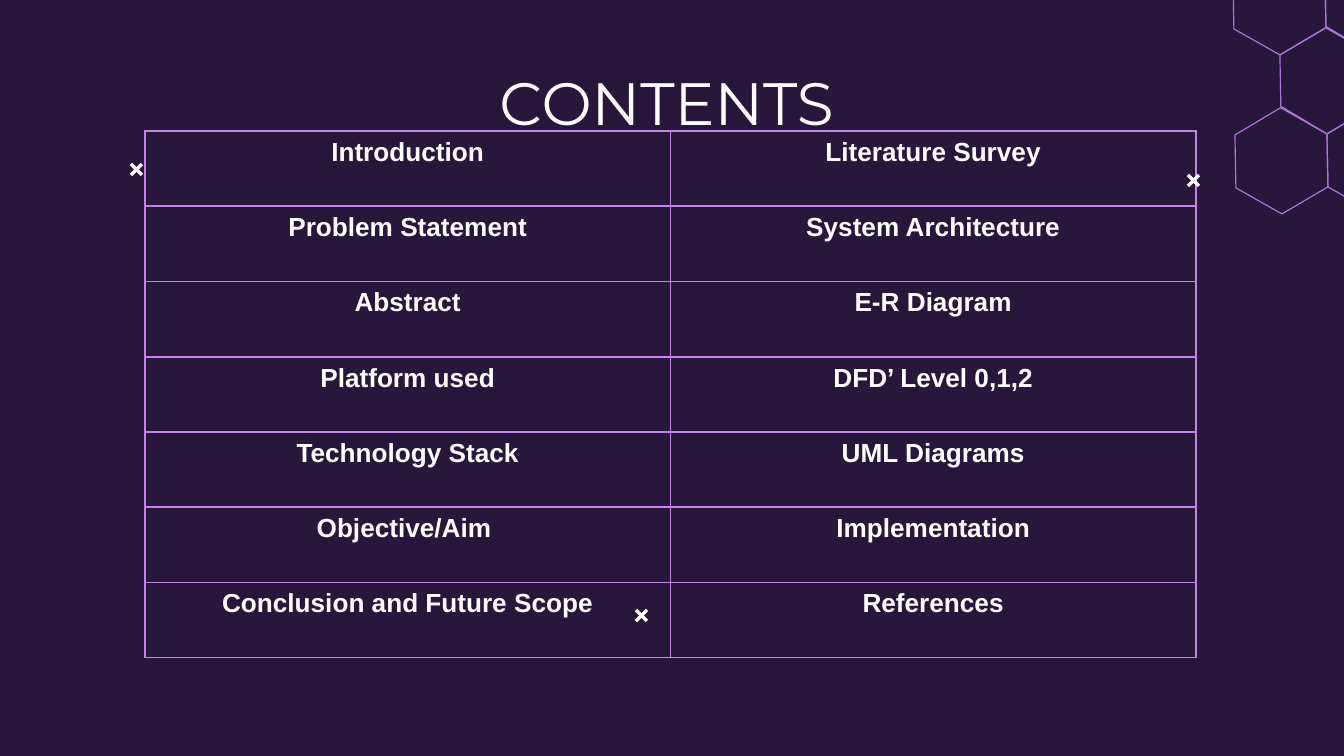
"""Build the contents slide: a two-column topic table with hexagon decoration."""
from lxml.etree import SubElement
from pptx import Presentation
from pptx.dml.color import RGBColor
from pptx.enum.shapes import MSO_CONNECTOR
from pptx.enum.text import MSO_ANCHOR, PP_ALIGN
from pptx.oxml.ns import qn
from pptx.util import Pt

PX = 914400 / 134.4
COLORS = {"background": "27173A", "hexagon": "AE77D6", "border": "C482ED", "text": "FFFFFF"}
TITLE = "CONTENTS "
TITLE_BOX = (108, 52, 1133, 85)
TOPICS = [
    ("Introduction", "Literature Survey"),
    ("Problem Statement", "System Architecture"),
    ("Abstract", "E-R Diagram"),
    ("Platform used", "DFD’ Level 0,1,2"),
    ("Technology Stack", "UML Diagrams"),
    ("Objective/Aim ", "Implementation"),
    ("Conclusion and Future Scope", "References"),
]
TABLE_BOX = (145, 131, 1051, 527)
HEX_ORIGIN = (1282, 161)
HEX_RIGHT, HEX_UP = (92, -1), (45, -80)
HEX_CELLS = [(0, 0), (1, 0), (0, 1), (-1, 2), (0, 2)]
HEX_CORNERS = [(0, -54), (45, -27), (46, 26), (0, 53), (-46, 27), (-47, -26)]
CROSSES = [(1188, 175), (636, 610), (131, 164)]
CROSS_SIZE = 11


def emu(*lengths):
    return [round(n * PX) for n in lengths]


def rgb(name):
    return RGBColor.from_string(COLORS[name])


def add_text(tf, text, font, size, bold=False):
    p = tf.paragraphs[0]
    p.alignment = PP_ALIGN.CENTER
    r = p.add_run()
    r.text = text
    r.font.name, r.font.size, r.font.bold = font, Pt(size), bold
    r.font.color.rgb = rgb("text")


def add_hexagon(s, right, up):
    cx, cy = (o + right * a + up * b for o, a, b in zip(HEX_ORIGIN, HEX_RIGHT, HEX_UP))
    points = [(cx + dx, cy + dy) for dx, dy in HEX_CORNERS]
    builder = s.shapes.build_freeform(*points[0], scale=PX)
    builder.add_line_segments(points[1:], close=True)
    sp = builder.convert_to_shape()
    sp.shadow.inherit = False
    sp.fill.background()
    sp.line.color.rgb = rgb("hexagon")
    sp.line.width = Pt(0.61)


def add_borders(cell):
    props = cell._tc.get_or_add_tcPr()
    for i, side in enumerate(("lnL", "lnR", "lnT", "lnB")):
        ln = props.makeelement(qn(f"a:{side}"), {"w": str(Pt(1))})
        fill = SubElement(ln, qn("a:solidFill"))
        SubElement(fill, qn("a:srgbClr"), val=COLORS["border"])
        props.insert(i, ln)


def add_topics(s):
    table = s.shapes.add_table(len(TOPICS), 2, *emu(*TABLE_BOX)).table
    table.first_row = table.horz_banding = False
    for i, row in enumerate(TOPICS):
        for j, topic in enumerate(row):
            cell = table.cell(i, j)
            cell.fill.background()
            add_borders(cell)
            add_text(cell.text_frame, topic, "Arial", 14, bold=True)


def add_title(s):
    tf = s.shapes.add_textbox(*emu(*TITLE_BOX)).text_frame
    tf.word_wrap = True
    tf.vertical_anchor = MSO_ANCHOR.TOP
    tf.margin_left = tf.margin_right = tf.margin_top = tf.margin_bottom = Pt(7.2)
    add_text(tf, TITLE, "Montserrat", 32)


def add_cross(s, x, y):
    for start, end in ((CROSS_SIZE, 0), (0, CROSS_SIZE)):
        ends = emu(x, y + start, x + CROSS_SIZE, y + end)
        line = s.shapes.add_connector(MSO_CONNECTOR.STRAIGHT, *ends)
        line.line.color.rgb = rgb("text")
        line.line.width = Pt(1.84)
        SubElement(line._element.spPr, qn("a:effectLst"))


def main():
    prs = Presentation()
    prs.slide_width, prs.slide_height = emu(1344, 756)
    s = prs.slides.add_slide(prs.slide_layouts[6])
    s.background.fill.solid()
    s.background.fill.fore_color.rgb = rgb("background")
    for right, up in HEX_CELLS:
        add_hexagon(s, right, up)
    add_topics(s)
    add_title(s)
    for x, y in CROSSES:
        add_cross(s, x, y)
    prs.save("out.pptx")


if __name__ == "__main__":
    main()
